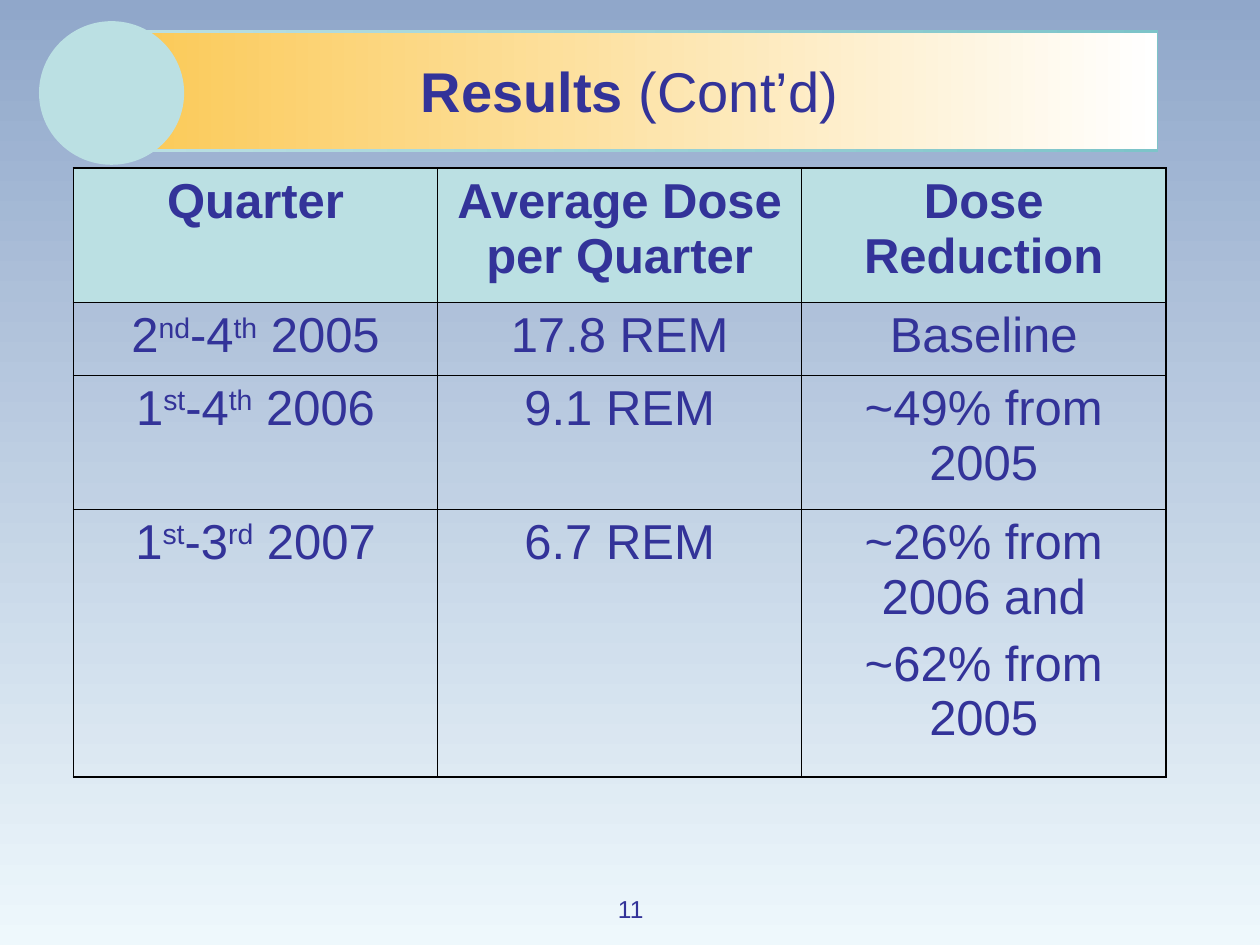
from dataclasses import dataclass

from lxml.etree import SubElement
from pptx import Presentation
from pptx.dml.color import RGBColor
from pptx.dml.fill import FillFormat
from pptx.enum.shapes import MSO_SHAPE
from pptx.enum.text import MSO_ANCHOR, PP_ALIGN
from pptx.oxml.ns import qn
from pptx.slide import Slide
from pptx.table import _Cell
from pptx.text.text import TextFrame, _Paragraph
from pptx.util import Cm, Pt

INDIGO = RGBColor(0x33, 0x33, 0x99)
AQUA = RGBColor(0xBB, 0xE0, 0xE3)
TEAL = RGBColor(0x7D, 0xC4, 0xC9)
AMBER = RGBColor(0xFB, 0xC9, 0x56)
WHITE = RGBColor(0xFF, 0xFF, 0xFF)
BLACK = RGBColor(0x00, 0x00, 0x00)
SKY_TOP = RGBColor(0x90, 0xA7, 0xCA)
SKY_BOTTOM = RGBColor(0xEE, 0xF8, 0xFC)
FONT = "Arial"
THIN, THICK = Pt(0.45), Pt(1.08)


@dataclass(frozen=True)
class Piece:
    text: str
    size: float
    bold: bool = False
    raised: bool = False


@dataclass(frozen=True)
class Box:
    left: float
    top: float
    width: float
    height: float

    def lengths(self) -> tuple[Cm, Cm, Cm, Cm]:
        return Cm(self.left), Cm(self.top), Cm(self.width), Cm(self.height)


@dataclass(frozen=True)
class Band:
    box: Box
    start: RGBColor
    end: RGBColor


@dataclass(frozen=True)
class Quarters:
    first: str
    first_suffix: str
    last: str
    last_suffix: str
    year: str

    def pieces(self) -> list[Piece]:
        return [
            Piece(self.first, 28),
            Piece(self.first_suffix, 28, raised=True),
            Piece(f"-{self.last}", 28),
            Piece(self.last_suffix, 28, raised=True),
            Piece(f" {self.year}", 28),
        ]


@dataclass(frozen=True)
class Result:
    quarters: Quarters
    dose: str
    reductions: tuple[str, ...]
    height: float


BANDS = (
    Band(Box(2.39, 0.61, 20.95, 2.46), AQUA, TEAL),
    Band(Box(2.54, 0.66, 20.78, 2.34), AMBER, WHITE),
)
HEADINGS = ("Quarter", "Average Dose per Quarter", "Dose Reduction")
HEADING_HEIGHT = 2.7
RESULTS = (
    Result(Quarters("2", "nd", "4", "th", "2005"), "17.8 REM", ("Baseline",), 1.47),
    Result(Quarters("1", "st", "4", "th", "2006"), "9.1 REM", ("~49% from 2005",), 2.7),
    Result(Quarters("1", "st", "3", "rd", "2007"), "6.7 REM",
           ("~26% from 2006 and", "~62% from 2005"), 5.4),
)


def set_gradient(fill: FillFormat, start: RGBColor, end: RGBColor, angle: float) -> None:
    fill.gradient()
    fill.gradient_angle = angle
    for stop, color in zip(fill.gradient_stops, (start, end)):
        stop.color.rgb = color


def write(paragraph: _Paragraph, pieces: list[Piece]) -> None:
    paragraph.alignment = PP_ALIGN.CENTER
    for piece in pieces:
        run = paragraph.add_run()
        run.text = piece.text
        run.font.name = FONT
        run.font.size = Pt(piece.size)
        run.font.bold = piece.bold
        run.font.color.rgb = INDIGO
        if piece.raised:
            run.font._element.set("baseline", "30000")


def write_all(frame: TextFrame, paragraphs: list[list[Piece]]) -> None:
    for index, pieces in enumerate(paragraphs):
        paragraph = frame.add_paragraph() if index else frame.paragraphs[0]
        if index:
            paragraph.space_before = Pt(7)
        write(paragraph, pieces)


def add_label(slide: Slide, box: Box, pieces: list[Piece], anchor: MSO_ANCHOR) -> TextFrame:
    frame = slide.shapes.add_textbox(*box.lengths()).text_frame
    frame.word_wrap = True
    frame.vertical_anchor = anchor
    write(frame.paragraphs[0], pieces)
    return frame


def set_borders(cell: _Cell, widths: dict[str, Pt]) -> None:
    properties = cell._tc.get_or_add_tcPr()
    for index, (side, width) in enumerate(widths.items()):
        line = SubElement(properties, qn(f"a:ln{side}"), w=str(int(width)))
        solid = SubElement(line, qn("a:solidFill"))
        SubElement(solid, qn("a:srgbClr"), val=str(BLACK))
        properties.insert(index, line)


def add_header(slide: Slide) -> None:
    for band in BANDS:
        bar = slide.shapes.add_shape(MSO_SHAPE.RECTANGLE, *band.box.lengths())
        bar.shadow.inherit = False
        bar.line.fill.background()
        set_gradient(bar.fill, band.start, band.end, 0)
    disc = slide.shapes.add_shape(MSO_SHAPE.OVAL, *Box(0.84, 0.48, 2.82, 2.79).lengths())
    disc.shadow.inherit = False
    disc.fill.solid()
    disc.fill.fore_color.rgb = AQUA
    disc.line.color.rgb = AQUA
    disc.line.width = Pt(3)
    title = [Piece("Results", 32, bold=True), Piece(" (Cont’d)", 32)]
    add_label(slide, Box(2.11, 0.64, 21.16, 2.34), title, MSO_ANCHOR.MIDDLE)


def add_results(slide: Slide) -> None:
    contents = [[[[Piece(heading, 28, bold=True)]] for heading in HEADINGS]]
    for result in RESULTS:
        contents.append([
            [result.quarters.pieces()],
            [[Piece(result.dose, 28)]],
            [[Piece(reduction, 28)] for reduction in result.reductions],
        ])
    heights = [HEADING_HEIGHT] + [result.height for result in RESULTS]
    area = Box(1.48, 3.39, 22.02, sum(heights))
    table = slide.shapes.add_table(len(heights), len(HEADINGS), *area.lengths()).table
    table.first_row = False
    table.horz_banding = False
    for column in table.columns:
        column.width = Cm(area.width / len(HEADINGS))
    last_row, last_column = len(heights) - 1, len(HEADINGS) - 1
    for r, (height, row) in enumerate(zip(heights, contents)):
        table.rows[r].height = Cm(height)
        for c, paragraphs in enumerate(row):
            cell = table.cell(r, c)
            write_all(cell.text_frame, paragraphs)
            if r == 0:
                cell.fill.solid()
                cell.fill.fore_color.rgb = AQUA
            else:
                cell.fill.background()
            set_borders(cell, {
                "L": THICK if c == 0 else THIN,
                "R": THICK if c == last_column else THIN,
                "T": THICK if r == 0 else THIN,
                "B": THICK if r == last_row else THIN,
            })


def main() -> None:
    """Build the dose results slide and save it."""
    presentation = Presentation()
    presentation.slide_width, presentation.slide_height = Cm(25.4), Cm(19.05)
    slide = presentation.slides.add_slide(presentation.slide_layouts[6])
    set_gradient(slide.background.fill, SKY_TOP, SKY_BOTTOM, 270)
    add_header(slide)
    page_number = add_label(slide, Box(8.69, 17.35, 8.05, 1.32), [Piece("11", 14)],
                            MSO_ANCHOR.BOTTOM)
    page_number.margin_bottom = Cm(0.05)
    add_results(slide)
    presentation.save("out.pptx")


if __name__ == "__main__":
    main()
